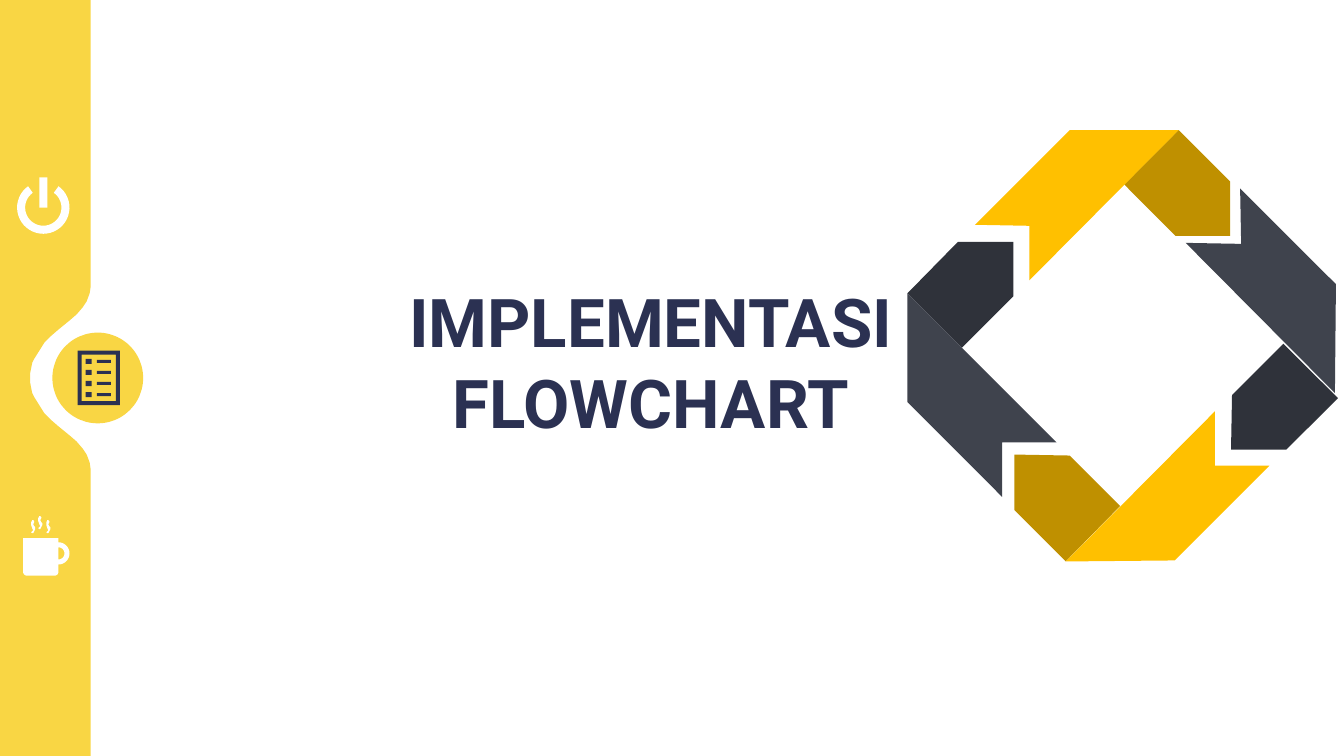
import math

from pptx import Presentation
from pptx.dml.color import RGBColor
from pptx.enum.shapes import MSO_SHAPE
from pptx.enum.text import MSO_ANCHOR, PP_ALIGN
from pptx.util import Inches, Pt

OVAL = MSO_SHAPE.OVAL
CENTER = PP_ALIGN.CENTER
MIDDLE = MSO_ANCHOR.MIDDLE

COLORS = {
    "yellow": "F9D644",
    "navy": "2B3152",
    "white": "FFFFFF",
    "gold": "FFC000",
    "dark_gold": "BF9000",
    "slate": "3F434D",
    "charcoal": "2F323A",
}

SIDEBAR_CURVE = [
    (0.9, 4.66), (0.89, 4.59), (0.86, 4.51), (0.82, 4.45), (0.76, 4.38),
    (0.69, 4.32), (0.58, 4.23), (0.51, 4.17), (0.44, 4.1), (0.39, 4.02),
    (0.34, 3.94), (0.32, 3.9), (0.31, 3.85), (0.3, 3.8),
]

STEAM_WISP = [
    (0.04, 0.09), (0.04, 0.07), (0.03, 0.06), (0.02, 0.04), (0.03, 0.02),
    (0.03, 0.01), (0.02, 0), (0.01, 0), (0, 0.02), (0, 0.05), (0.01, 0.08),
    (0.02, 0.1), (0.01, 0.11), (0, 0.12), (0.01, 0.13), (0.02, 0.13),
]

RING_PIECES = [
    ("dark_gold", [(1.61, 3.23), (2.11, 3.73), (1.57, 4.28), (1.06, 3.77), (1.06, 3.22)]),
    ("gold", [(3.05, 3.33), (3.59, 3.33), (2.65, 4.27), (1.57, 4.28), (3.05, 2.79)]),
    ("charcoal", [(1.05, 1.65), (0.54, 2.16), (0, 1.62), (0.5, 1.11), (1.05, 1.11)]),
    ("slate", [(0.94, 3.1), (0.94, 3.64), (0, 2.7), (0, 1.62), (1.48, 3.1)]),
    ("dark_gold", [(2.66, 1.05), (2.15, 0.54), (2.69, 0), (3.2, 0.51), (3.2, 1.05)]),
    ("gold", [(1.21, 0.95), (0.67, 0.94), (1.61, 0), (2.69, 0), (1.21, 1.49)]),
    ("charcoal", [(3.22, 2.63), (3.73, 2.12), (4.27, 2.66), (3.76, 3.17), (3.21, 3.17)]),
    ("slate", [(3.31, 1.13), (3.3, 0.58), (4.25, 1.53), (4.24, 2.61), (2.76, 1.12)]),
]


def paint(shape, color):
    """Give a shape a flat fill without line or shadow."""
    shape.shadow.inherit = False
    shape.fill.solid()
    shape.fill.fore_color.rgb = RGBColor.from_string(COLORS[color])
    shape.line.fill.background()


def add_outline(slide, left, top, contours, color):
    """Draw closed contours, given relative to left and top, as one shape."""
    placed = [[(Inches(left + x), Inches(top + y)) for x, y in contour]
              for contour in contours]
    builder = slide.shapes.build_freeform(*placed[0][0])
    builder.add_line_segments(placed[0][1:], close=True)
    for contour in placed[1:]:
        builder.move_to(*contour[0])
        builder.add_line_segments(contour[1:], close=True)
    paint(builder.convert_to_shape(), color)


def rectangle(left, top, width, height):
    """Return the corners of a rectangle."""
    right, bottom = left + width, top + height
    return [(left, top), (right, top), (right, bottom), (left, bottom)]


def arc_band(center_x, center_y, outer, inner, start, end, steps=36):
    """Return a ring segment between two clockwise angles from the top."""
    angles = [math.radians(start + (end - start) * step / steps)
              for step in range(steps + 1)]
    return [(center_x + radius * math.sin(angle), center_y - radius * math.cos(angle))
            for radius, sweep in ((outer, angles), (inner, angles[::-1]))
            for angle in sweep]


def add_sidebar(slide, left, top, width, height):
    """Draw the yellow side band with its rounded notch."""
    upper_curve = [(x, height - y) for x, y in reversed(SIDEBAR_CURVE)]
    contour = [(width, 0), (0, 0), (0, height), (width, height),
               *SIDEBAR_CURVE, (0.3, height / 2), *upper_curve]
    add_outline(slide, left, top, [contour], "yellow")


def add_list_badge(slide, left, top, size):
    """Draw the yellow disc with the checklist icon."""
    disc = slide.shapes.add_shape(OVAL, Inches(left), Inches(top), Inches(size), Inches(size))
    paint(disc, "yellow")
    contours = [rectangle(0, 0, 0.42, 0.54), rectangle(0.04, 0.04, 0.34, 0.46)[::-1]]
    for row in range(4):
        row_top = 0.08 + 0.11 * row
        contours.append(rectangle(0.08, row_top, 0.06, 0.05))
        contours.append(rectangle(0.19, row_top + 0.01, 0.14, 0.03))
    add_outline(slide, left + 0.25, top + 0.18, contours, "navy")


def add_power_icon(slide, left, top):
    """Draw the power symbol."""
    contours = [rectangle(0.22, 0, 0.08, 0.3),
                arc_band(0.26, 0.3, 0.26, 0.18, 35.5, 324.5)]
    add_outline(slide, left, top, contours, "white")


def add_mug_icon(slide, left, top):
    """Draw the steaming mug."""
    body = [(0, 0.22), (0.35, 0.22), (0.35, 0.56), (0.34, 0.58), (0.32, 0.59),
            (0.03, 0.59), (0.01, 0.58), (0, 0.56)]
    contours = [body, arc_band(0.35, 0.37, 0.11, 0.06, 0, 180)]
    for wisp_left, wisp_top in ((0.08, 0.04), (0.15, 0), (0.23, 0.04)):
        contours.append([(wisp_left + x, wisp_top + y) for x, y in STEAM_WISP])
    add_outline(slide, left, top, contours, "white")


def add_title(slide, left, top, width, height):
    """Write the centred slide title."""
    box = slide.shapes.add_textbox(Inches(left), Inches(top), Inches(width), Inches(height))
    frame = box.text_frame
    frame.word_wrap = True
    frame.vertical_anchor = MIDDLE
    frame.margin_left = frame.margin_right = frame.margin_top = frame.margin_bottom = 0
    paragraph = frame.paragraphs[0]
    paragraph.alignment = CENTER
    run = paragraph.add_run()
    run.text = "IMPLEMENTASI FLOWCHART"
    run.font.name = "Roboto"
    run.font.size = Pt(48)
    run.font.bold = True
    run.font.color.rgb = RGBColor.from_string(COLORS["navy"])


def add_ribbon_ring(slide, left, top):
    """Draw the ring of four folded ribbon arrows."""
    for color, points in RING_PIECES:
        add_outline(slide, left, top, [points], color)


def main():
    """Build and save the presentation."""
    presentation = Presentation()
    presentation.slide_width = Inches(13.33)
    presentation.slide_height = Inches(7.5)
    slide = presentation.slides.add_slide(presentation.slide_layouts[6])
    add_list_badge(slide, 0.52, 3.3, 0.9)
    add_sidebar(slide, 0, 0, 0.9, 7.5)
    add_power_icon(slide, 0.17, 1.76)
    add_mug_icon(slide, 0.23, 5.12)
    add_title(slide, 3.76, 2.77, 5.39, 1.62)
    add_ribbon_ring(slide, 9, 1.29)
    presentation.save("out.pptx")


if __name__ == "__main__":
    main()
